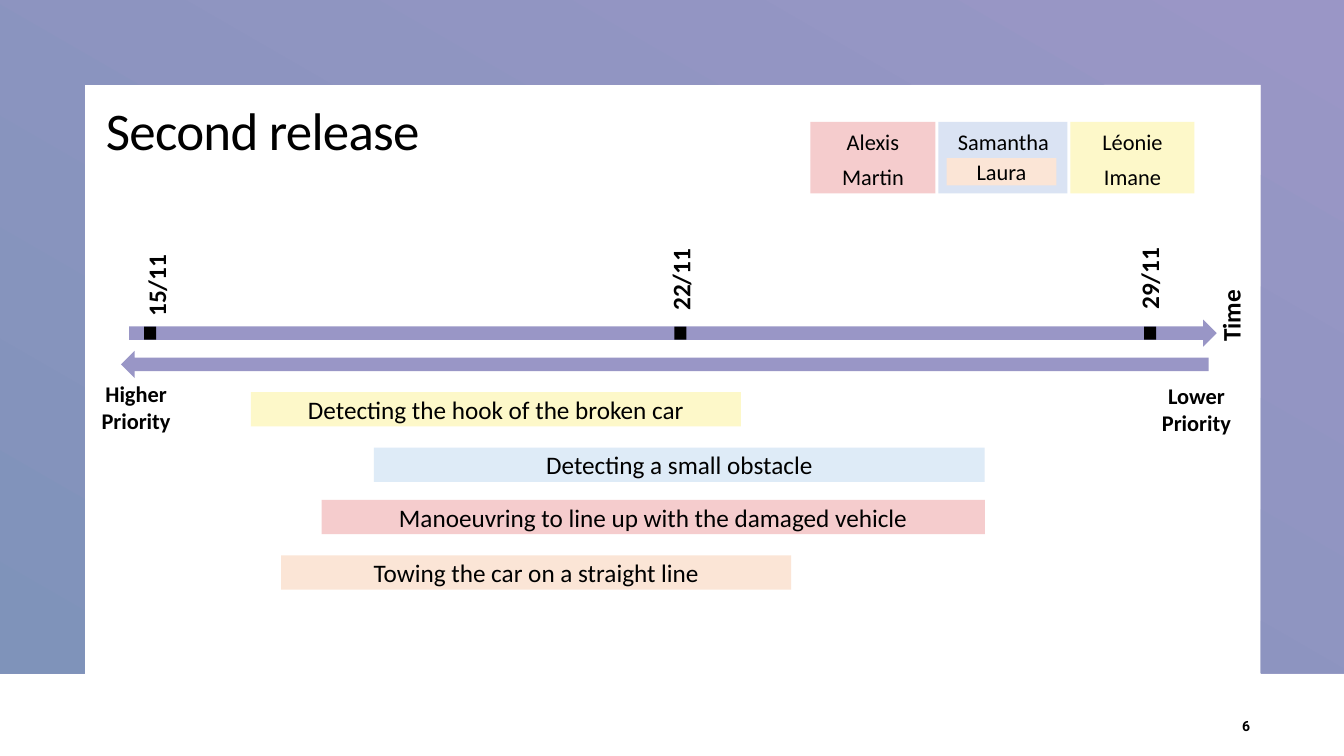
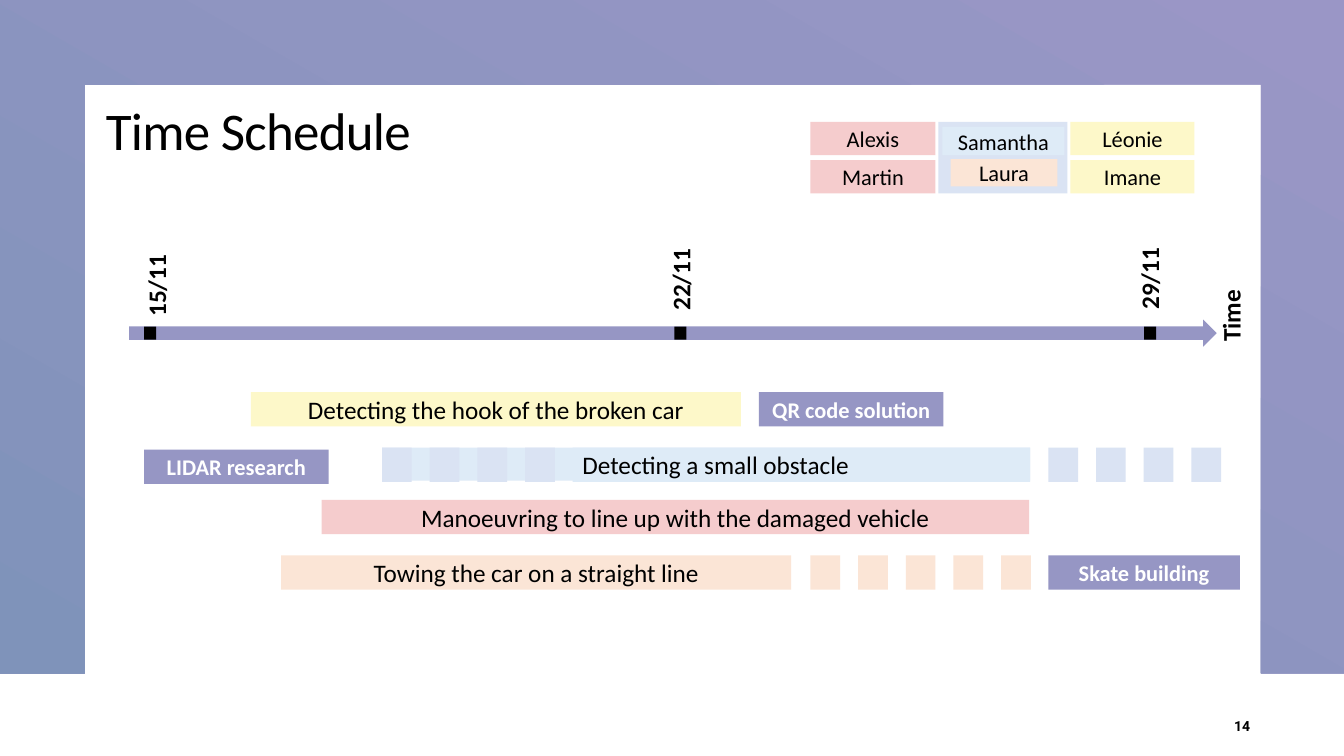
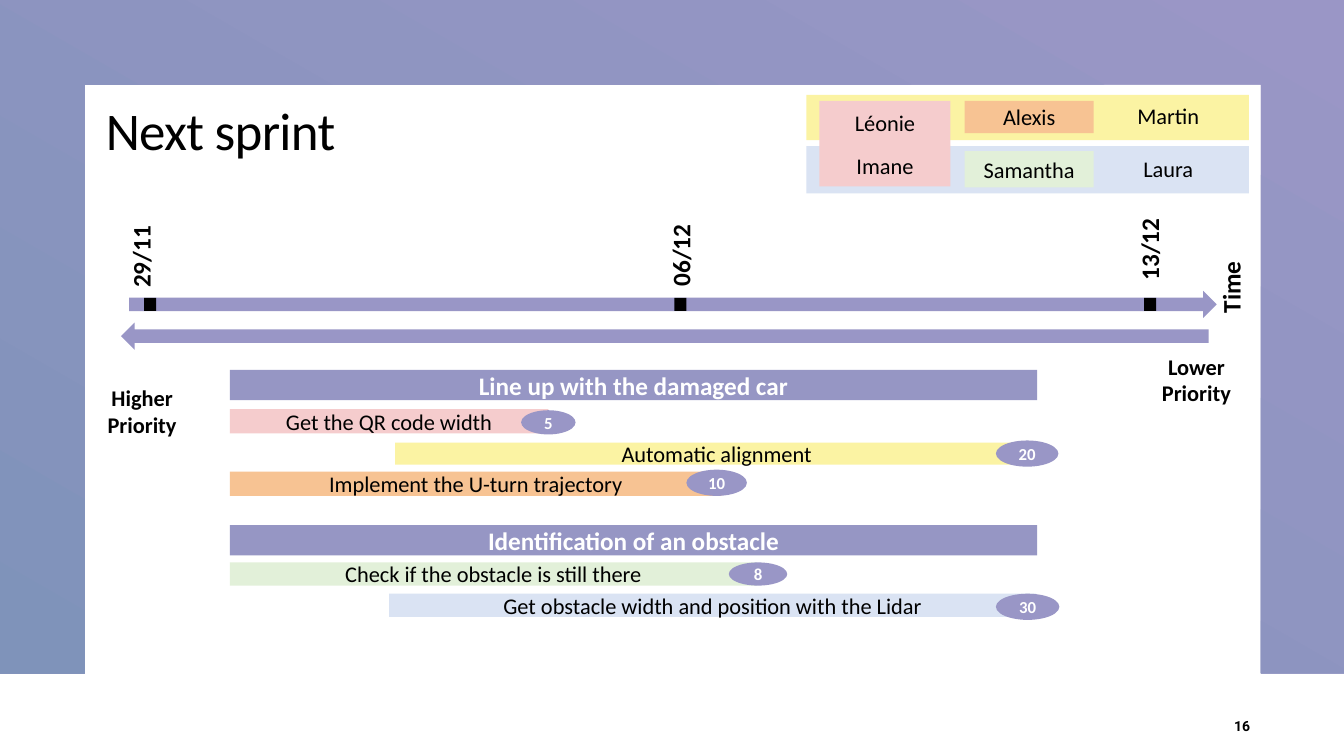
"""Build three project planning slides: release, schedule and next sprint."""
from pptx import Presentation
from pptx.dml.color import RGBColor
from pptx.enum.shapes import MSO_SHAPE as Shape
from pptx.enum.text import MSO_ANCHOR as Anchor, PP_ALIGN as Align
from pptx.util import Inches, Pt

BLACK = RGBColor(0x00, 0x00, 0x00)
WHITE = RGBColor(0xFF, 0xFF, 0xFF)
VIOLET = RGBColor(0x9A, 0x96, 0xC6)
STEEL = RGBColor(0x7F, 0x93, 0xBA)
ARROW = RGBColor(0x99, 0x96, 0xC6)
PURPLE = RGBColor(0x96, 0x96, 0xC4)
PINK = RGBColor(0xF5, 0xCC, 0xCD)
PEACH = RGBColor(0xFB, 0xE5, 0xD6)
ORANGE = RGBColor(0xF7, 0xC3, 0x93)
YELLOW = RGBColor(0xFB, 0xF3, 0xA3)
LEMON = RGBColor(0xFD, 0xF8, 0xC9)
GREEN = RGBColor(0xE2, 0xF0, 0xD9)
SKY = RGBColor(0xDE, 0xEB, 0xF7)
BLUE = RGBColor(0xDA, 0xE3, 0xF3)

CELL = Inches(0.1)
COLUMNS, ROWS = 133.33, 75
BAR = 3.4
DASH_WIDTH, DASH_STEP = 2.95, 4.73

SLIDES = [
    {
        "title": "Second release", "number": "6", "rise": 0, "arrow": ARROW,
        "dates": [("15/11", 8.8, 23.7, 4), ("22/11", 60.8, 23.1, 4), ("29/11", 107.3, 23, 4)],
        "priorities": [("Higher Priority", 8.9, 37.2), ("Lower Priority", 114.1, 37.4)],
        "people": [
            (93.1, 12.1, 12.8, 7.1, BLUE),
            (106.2, 12.1, 12.3, 3.8, LEMON, "Léonie"),
            (106.2, 15.9, 12.3, 3.3, LEMON, "Imane"),
            (93.5, 12.6, 12.1, 2.8, BLUE, "Samantha"),
            (80.4, 12.1, 12.4, 3.8, PINK, "Alexis"),
            (80.4, 15.9, 12.4, 3.3, PINK, "Martin"),
            (93.9, 15.7, 10.9, 2.7, PEACH, "Laura"),
        ],
        "bars": [
            (24.9, 38.9, 48.6, BAR, LEMON, "Detecting the hook of the broken car", 18),
            (37.1, 44.4, 60.6, BAR, SKY, "Detecting a small obstacle", 18),
            (31.9, 49.6, 65.8, BAR, PINK, "Manoeuvring to line up with the damaged vehicle", 18),
            (27.9, 55.1, 50.6, BAR, PEACH, "Towing the car on a straight line", 18),
        ],
        "dashes": [], "points": [],
    },
    {
        "title": "Time Schedule", "number": "14", "rise": 0, "arrow": PURPLE,
        "dates": [("15/11", 8.8, 23.7, 4), ("22/11", 60.8, 23.1, 4), ("29/11", 107.3, 23, 4)],
        "priorities": [],
        "people": [
            (93.1, 12.1, 12.8, 7.1, BLUE),
            (106.2, 12.1, 12.3, 3.3, LEMON, "Léonie"),
            (106.2, 15.9, 12.3, 3.3, LEMON, "Imane"),
            (93.5, 12.6, 12.1, 2.8, SKY, "Samantha"),
            (80.4, 12.1, 12.4, 3.3, PINK, "Alexis"),
            (80.4, 15.9, 12.4, 3.3, PINK, "Martin"),
            (94.3, 15.8, 10.6, 2.7, PEACH, "Laura"),
        ],
        "bars": [
            (24.9, 38.9, 48.6, BAR, LEMON, "Detecting the hook of the broken car", 18),
            (75.3, 38.9, 18.3, BAR, PURPLE, "QR code solution"),
            (14.3, 44.6, 18.3, BAR, PURPLE, "LIDAR research"),
            (37.9, 44.4, 64.3, 3.3, SKY),
            (56.8, 44.4, 45.4, BAR, SKY, "Detecting a small obstacle", 18, Align.LEFT),
            (31.9, 49.6, 70.2, BAR, PINK, "Manoeuvring to line up with the damaged vehicle", 18),
            (27.9, 55.1, 50.6, BAR, PEACH, "Towing the car on a straight line", 18),
            (104, 55.1, 19, BAR, PURPLE, "Skate building"),
        ],
        "dashes": [(37.9, 44.4, 4, BLUE), (104, 44.4, 4, BLUE), (80.4, 55.1, 5, PEACH)],
        "points": [],
    },
    {
        "title": "Next sprint", "number": "16", "rise": 2.85, "arrow": ARROW,
        "dates": [("29/11", 8.8, 19.3, 7.1), ("06/12", 60.8, 20.7, 4), ("13/12", 107.3, 20.1, 4)],
        "priorities": [("Higher Priority", 9.5, 37.6), ("Lower Priority", 114.1, 34.5)],
        "people": [
            (80, 9.4, 43.9, 4.5, YELLOW),
            (80, 14.5, 43.9, 4.7, BLUE),
            (81.3, 10, 13, 4.4, PINK, "Léonie"),
            (81.3, 14.4, 13, 4.1, PINK, "Imane"),
            (95.7, 10, 12.8, 3.2, ORANGE, "Alexis"),
            (95.7, 15, 12.8, 3.6, GREEN, "Samantha"),
            (109.5, 10, 12.8, 2.9, YELLOW, "Martin"),
            (109.5, 15, 12.8, 3.5, BLUE, "Laura"),
        ],
        "bars": [
            (22.8, 36.7, 80.1, 3, PURPLE, "Line up with the damaged car", 18),
            (22.8, 40.6, 31.6, 2.4, PINK, "Get the QR code width"),
            (39.2, 43.9, 63.8, 2.2, YELLOW, "Automatic alignment"),
            (22.8, 46.8, 48.8, 2.4, ORANGE, "Implement the U-turn trajectory"),
            (22.8, 52.1, 80.1, 3, PURPLE, "Identification of an obstacle", 18),
            (22.8, 55.8, 52.3, 2.3, GREEN, "Check if the obstacle is still there"),
            (38.6, 58.9, 64.2, 2.3, BLUE, "Get obstacle width and position with the Lidar"),
        ],
        "dashes": [],
        "points": [
            (51.7, 40.7, 5.4, 2.4, "5"),
            (98.8, 43.7, 6.2, 2.6, "20"),
            (68.1, 46.6, 6, 2.6, "10"),
            (72.3, 55.8, 5.8, 2.3, "8"),
            (98.8, 58.9, 6.3, 2.6, "30"),
        ],
    },
]


def draw(slide, kind, left, top, width, height, fill, text="", size=16, align=Align.CENTER):
    """Add a flat filled shape, placed in grid cells, with optional text."""
    frame = [round(length * CELL) for length in (left, top, width, height)]
    shape = slide.shapes.add_shape(kind, *frame)
    shape.shadow.inherit = False
    shape.fill.solid()
    shape.fill.fore_color.rgb = fill
    shape.line.fill.background()
    if text:
        strong = fill in (PURPLE, ARROW)
        shape.text_frame.word_wrap = kind != Shape.OVAL
        shape.text_frame.vertical_anchor = Anchor.MIDDLE
        paragraph = shape.text_frame.paragraphs[0]
        paragraph.text = text
        paragraph.alignment = align
        paragraph.font.name = "Calibri"
        paragraph.font.size = Pt(size)
        paragraph.font.bold = strong
        paragraph.font.color.rgb = WHITE if strong else BLACK
    return shape


def write(slide, left, top, width, height, text, size, align=Align.LEFT, font="Calibri"):
    """Add a bold black label, placed in grid cells."""
    frame = [round(length * CELL) for length in (left, top, width, height)]
    label = slide.shapes.add_textbox(*frame)
    label.text_frame.word_wrap = True
    paragraph = label.text_frame.paragraphs[0]
    paragraph.text = text
    paragraph.alignment = align
    paragraph.font.name = font
    paragraph.font.size = Pt(size)
    paragraph.font.bold = True
    paragraph.font.color.rgb = BLACK
    return label


presentation = Presentation()
presentation.slide_width = round(COLUMNS * CELL)
presentation.slide_height = ROWS * CELL
layout = presentation.slide_layouts[5]

for content in SLIDES:
    slide = presentation.slides.add_slide(layout)

    if content is SLIDES[0]:
        outline = [(COLUMNS, 0), (COLUMNS, 66.8), (125.1, 66.8), (125.1, 8.4),
                   (8.4, 8.4), (8.4, 66.8), (0, 66.8)]
        builder = slide.shapes.build_freeform(0, 0)
        builder.add_line_segments([(round(x * CELL), round(y * CELL)) for x, y in outline])
        border = builder.convert_to_shape()
        border.shadow.inherit = False
        border.line.fill.background()
        border.fill.gradient()
        border.fill.gradient_angle = 240
        for stop, position, color in zip(border.fill.gradient_stops, (0, 1), (VIOLET, STEEL)):
            stop.position = position
            stop.color.rgb = color
        layout.shapes.element.insert(2, border.element)

    title = slide.shapes.title
    title.left, title.top, title.width, title.height = [
        round(length * CELL) for length in (9.5, 9.6, 48.7, 7.5)]
    title.text_frame.text = content["title"]
    title.text_frame.vertical_anchor = Anchor.TOP
    paragraph = title.text_frame.paragraphs[0]
    paragraph.alignment = Align.LEFT
    paragraph.line_spacing = 0.95
    paragraph.font.name = "Calibri"
    paragraph.font.size = Pt(37.8)
    paragraph.font.color.rgb = BLACK
    paragraph.runs[0].font._element.set("spc", "-50")

    number = write(slide, 119.2, 70, 5.8, 4, content["number"], 10, Align.RIGHT, "Roboto")
    number.text_frame.vertical_anchor = Anchor.MIDDLE

    rise = content["rise"]
    draw(slide, Shape.RIGHT_ARROW, 12.8, 31.7 - rise, 107.9, 2.7, content["arrow"])
    for left in (14.3, 66.9, 113.5):
        draw(slide, Shape.RECTANGLE, left, 32.4 - rise, 1.2, 1.3, BLACK)
    for text, left, top, height in content["dates"] + [("Time", 115.4, 26.2 - rise, 4)]:
        write(slide, left, top, 13.4, height, text, 18).rotation = 270

    if content["priorities"]:
        priority_top = 32 if rise else 34.8
        draw(slide, Shape.RIGHT_ARROW, 12, priority_top, 107.9, 2.7, ARROW).rotation = 180
    for text, left, top in content["priorities"]:
        write(slide, left, top, 9.2, 6.4, text, 16, Align.CENTER)

    for box in content["people"] + content["bars"]:
        draw(slide, Shape.RECTANGLE, *box)
    for left, top, count, fill in content["dashes"]:
        for index in range(count):
            draw(slide, Shape.RECTANGLE, left + index * DASH_STEP, top, DASH_WIDTH, BAR, fill)
    for left, top, width, height, points in content["points"]:
        draw(slide, Shape.OVAL, left, top, width, height, ARROW, points, 12)

presentation.save("out.pptx")
